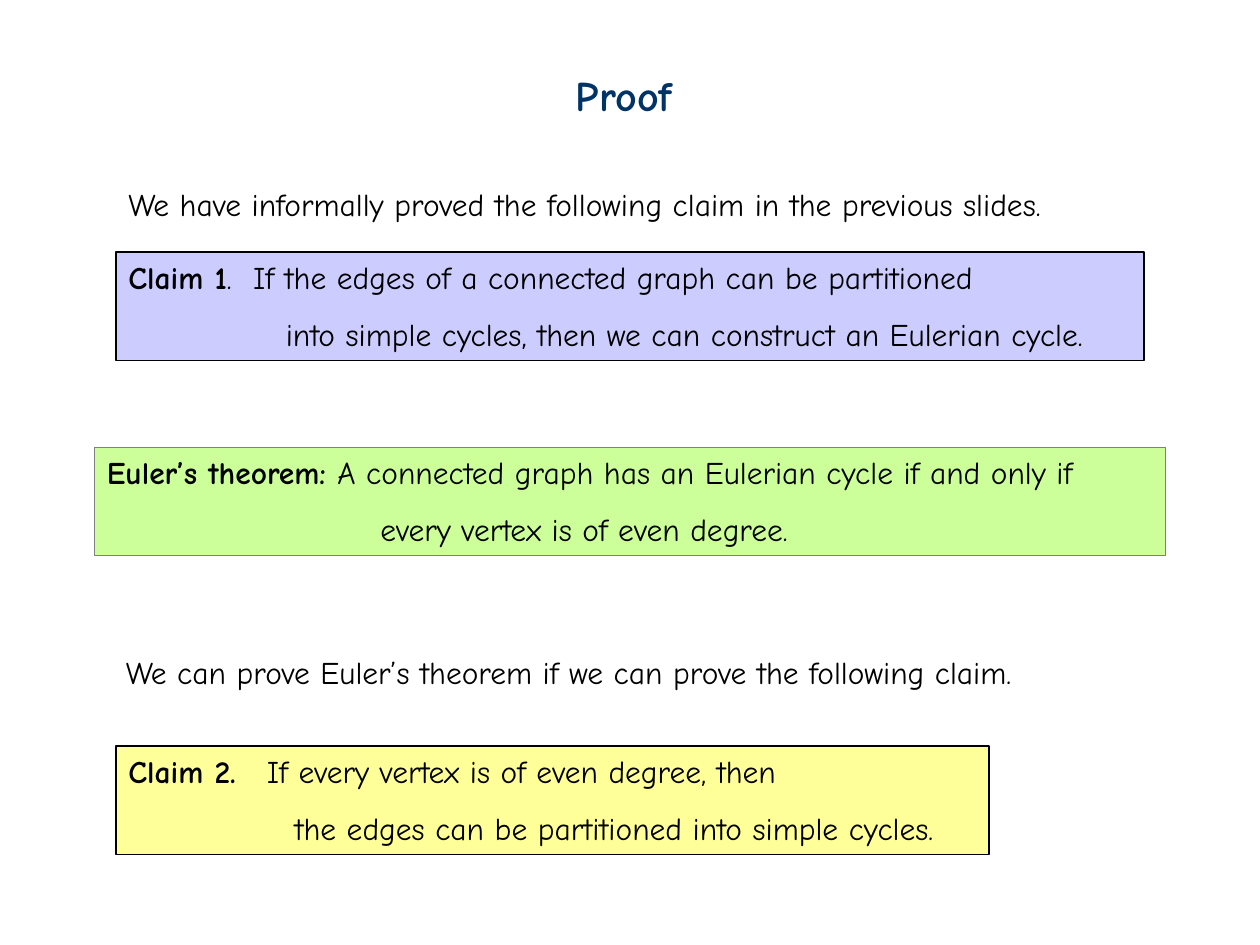
"""Build the slide that reduces Euler's theorem to two claims about simple cycles."""
from lxml.etree import SubElement
from pptx import Presentation
from pptx.dml.color import RGBColor
from pptx.enum.shapes import MSO_SHAPE
from pptx.enum.text import MSO_ANCHOR, MSO_AUTO_SIZE, PP_ALIGN
from pptx.oxml.ns import qn
from pptx.util import Inches, Pt

COLORS = {
    "title": "003366", "text": "000000", "border": "000000", "gray": "808080",
    "lavender": "CCCCFF", "green": "CCFF99", "yellow": "FFFF99",
}
FONT = "Comic Neue"


def color(name):
    return RGBColor.from_string(COLORS[name])


def format_paragraph(paragraph, size=18, color_name="text"):
    paragraph.alignment = PP_ALIGN.LEFT
    paragraph.font.name = FONT
    paragraph.font.size = Pt(size)
    paragraph.font.color.rgb = color(color_name)


presentation = Presentation()
presentation.slide_width = Inches(10)
presentation.slide_height = Inches(7.5)
slide = presentation.slides.add_slide(presentation.slide_layouts[5])

title = slide.shapes.title
title.left, title.top = Inches(4.47), Inches(0.5)
title.width, title.height = Inches(1.06), Inches(0.5)
title_frame = title.text_frame
title_frame.text = "Proof"
title_frame.word_wrap = False
title_frame.auto_size = MSO_AUTO_SIZE.NONE
title_frame.vertical_anchor = MSO_ANCHOR.TOP
format_paragraph(title_frame.paragraphs[0], 24, "title")
title_frame.paragraphs[0].font.bold = True

remarks = [
    (0.92, 1.42, 8.14, "We have informally proved the following claim in the previous slides."),
    (0.9, 5.13, 7.83, "We can prove Euler’s theorem if we can prove the following claim."),
]
for left, top, width, text in remarks:
    remark = slide.shapes.add_textbox(Inches(left), Inches(top), Inches(width), Inches(0.4))
    remark.text_frame.word_wrap = True
    remark.text_frame.text = text
    format_paragraph(remark.text_frame.paragraphs[0])

statements = [
    (0.92, 2, 8.16, "lavender", "border", "Claim 1", ".", 0.99, 1.25,
     "If the edges of a connected graph can be partitioned",
     "into simple cycles, then we can construct an Eulerian cycle."),
    (0.75, 3.55, 8.5, "green", "gray", "Euler’s theorem:", "", 1.83, 2.17,
     "A connected graph has an Eulerian cycle if and only if",
     "every vertex is of even degree."),
    (0.92, 5.92, 6.93, "yellow", "border", "Claim 2.", "", 1.1, 1.32,
     "If every vertex is of even degree, then",
     "the edges can be partitioned into simple cycles."),
]
for left, top, width, fill, line, label, stop, tab, indent, first, second in statements:
    box = slide.shapes.add_shape(
        MSO_SHAPE.RECTANGLE, Inches(left), Inches(top), Inches(width), Inches(0.86))
    box.shadow.inherit = False
    box.fill.solid()
    box.fill.fore_color.rgb = color(fill)
    box.line.color.rgb = color(line)
    box.line.width = Pt(0.75)
    frame = box.text_frame
    frame.word_wrap = True
    frame.vertical_anchor = MSO_ANCHOR.TOP

    opening = frame.paragraphs[0]
    format_paragraph(opening)
    opening.add_run().text = label
    opening.runs[0].font.bold = True
    opening.add_run().text = f"{stop}\t{first}"
    tab_list = SubElement(opening._p.get_or_add_pPr(), qn("a:tabLst"))
    SubElement(tab_list, qn("a:tab"), pos=str(Inches(tab)), algn="l")

    closing = frame.add_paragraph()
    closing.text = second
    closing.line_spacing = 1.5
    format_paragraph(closing)
    closing._p.get_or_add_pPr().set("marL", str(Inches(indent)))

presentation.save("out.pptx")
